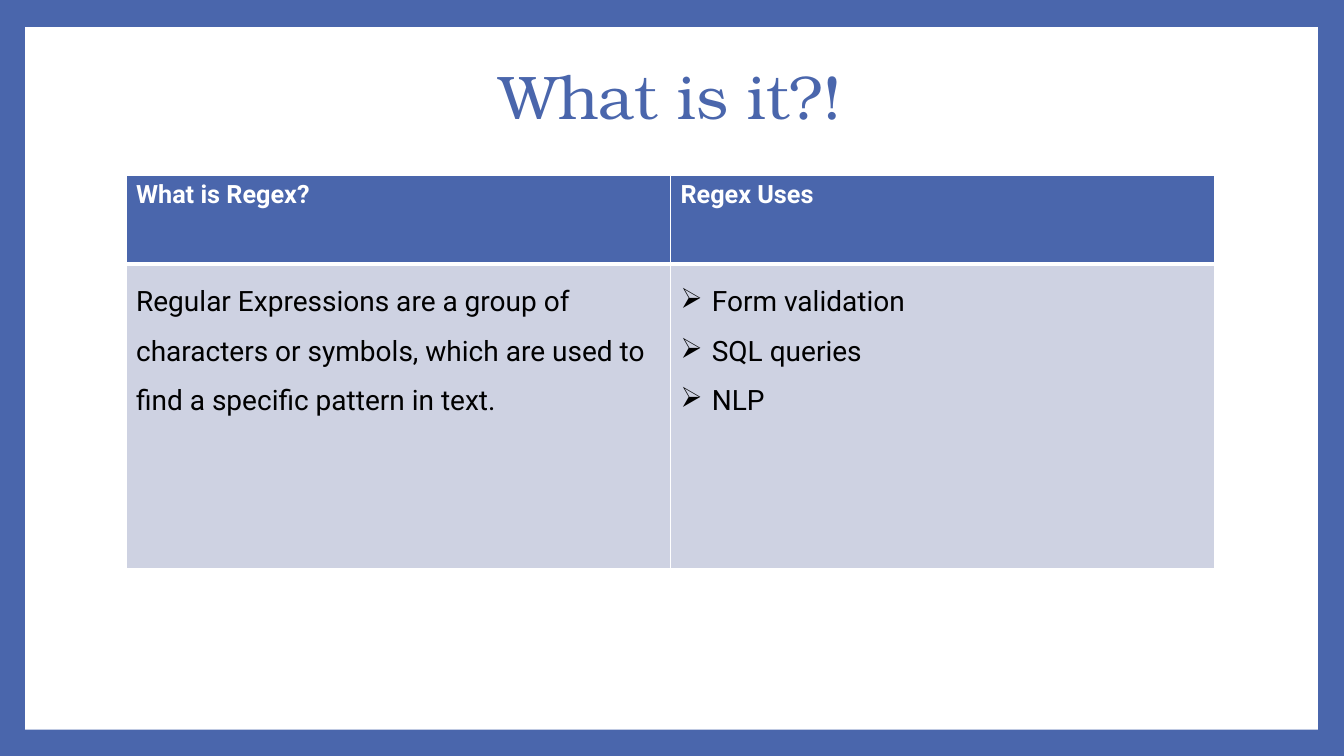
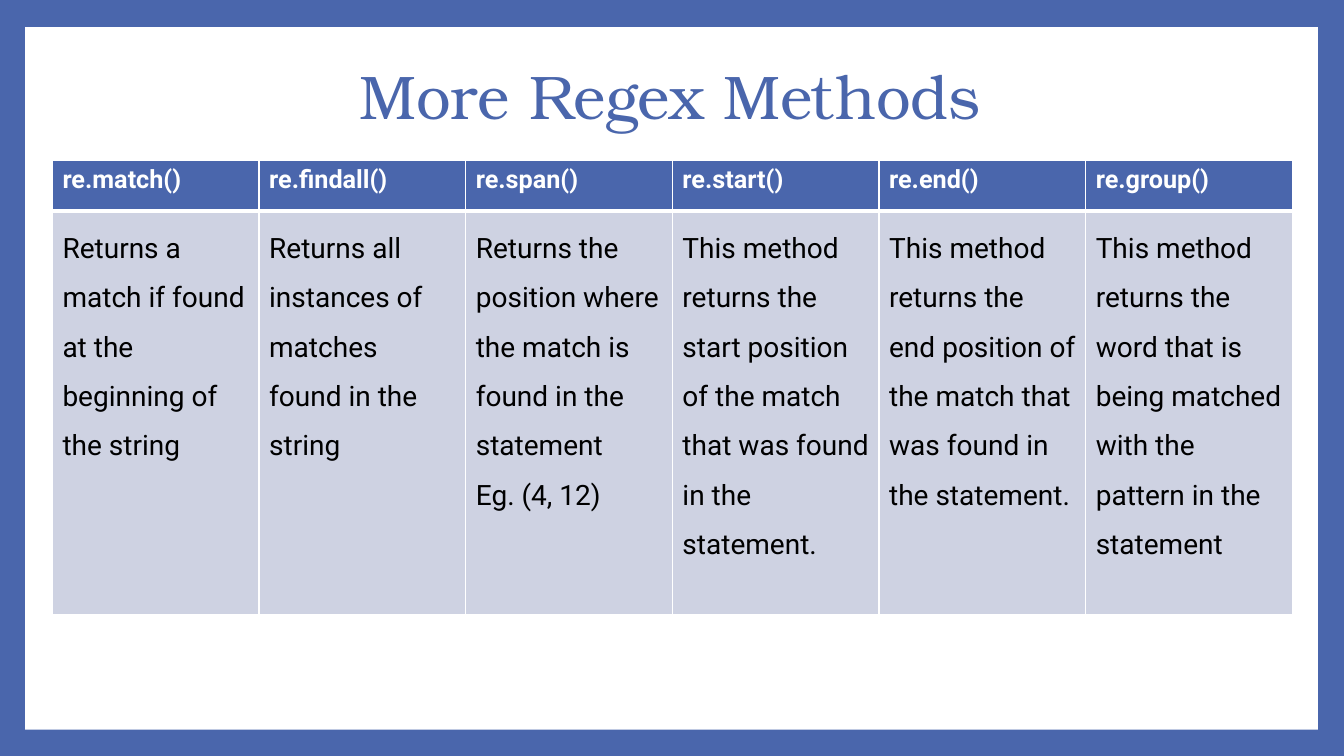
from lxml.etree import SubElement
from pptx import Presentation
from pptx.dml.color import RGBColor
from pptx.enum.shapes import MSO_SHAPE
from pptx.enum.text import MSO_ANCHOR, PP_ALIGN
from pptx.oxml import parse_xml
from pptx.oxml.ns import nsdecls, qn
from pptx.util import Inches, Pt

COLORS = {"blue": "4A66AC", "pale": "CED2E2", "white": "FFFFFF", "black": "000000"}
TITLE = {"name": "TeX Gyre Bonum", "size": Pt(44), "bold": False}
HEADING = {"name": "Roboto", "size": Pt(18), "bold": True}
BODY = {"name": "Roboto", "size": Pt(20), "bold": False}
BULLET_INDENT = Inches(0.31)

SLIDES = [
    {
        "title": "What is it?!",
        "left": 1.25, "top": 1.74, "column": 5.4, "rows": [0.88, 3.02],
        "columns": [
            ("What is Regex?", ["Regular Expressions are a group of characters or symbols, "
                                "which are used to find a specific pattern in text."]),
            ("Regex Uses", ["Form validation", "SQL queries", "NLP"]),
        ],
        "bulleted": ["Regex Uses"],
    },
    {
        "title": "More Regex Methods",
        "left": 0.52, "top": 1.59, "column": 2.05, "rows": [0.5, 4.01],
        "columns": [
            ("re.match()", ["Returns a match if found at the beginning of the string"]),
            ("re.findall()", ["Returns all instances of matches found in the string"]),
            ("re.span()", ["Returns the position where the match is found in the statement",
                           "Eg. (4, 12)"]),
            ("re.start()", ["This method returns the start position of the match "
                            "that was found in the statement."]),
            ("re.end()", ["This method returns the end position of the match "
                          "that was found in the statement."]),
            ("re.group()", ["This method returns the word that is being matched "
                            "with the pattern in the statement"]),
        ],
        "bulleted": [],
    },
]


def write(paragraph, text, style, color, spacing):
    run = paragraph.add_run()
    run.text = text
    for attribute, value in style.items():
        setattr(run.font, attribute, value)
    run.font.color.rgb = RGBColor.from_string(COLORS[color])
    paragraph.line_spacing = spacing


def paint_cell(cell, fill, borders):
    """Fill a cell and draw its white borders, given as {side: points}."""
    cell.fill.solid()
    cell.fill.fore_color.rgb = RGBColor.from_string(COLORS[fill])
    properties = cell._tc.get_or_add_tcPr()
    for position, (side, points) in enumerate(borders.items()):
        properties.insert(position, parse_xml(
            f'<a:ln{side} {nsdecls("a")} w="{Pt(points)}"><a:solidFill>'
            f'<a:srgbClr val="{COLORS["white"]}"/></a:solidFill></a:ln{side}>'))


prs = Presentation()
prs.slide_width, prs.slide_height = Inches(13.33), Inches(7.5)
background = prs.slide_master.background.fill
background.solid()
background.fore_color.rgb = RGBColor.from_string(COLORS["blue"])

for content in SLIDES:
    slide = prs.slides.add_slide(prs.slide_layouts[6])

    page = slide.shapes.add_shape(MSO_SHAPE.RECTANGLE, Inches(0.25), Inches(0.27),
                                  Inches(12.82), Inches(6.97))
    page.shadow.inherit = False
    page.fill.solid()
    page.fill.fore_color.rgb = RGBColor.from_string(COLORS["white"])
    page.line.fill.background()

    title = slide.shapes.add_textbox(Inches(1.25), Inches(0.25),
                                     Inches(10.8), Inches(1.48)).text_frame
    title.word_wrap = True
    title.vertical_anchor = MSO_ANCHOR.MIDDLE
    title.paragraphs[0].alignment = PP_ALIGN.CENTER
    write(title.paragraphs[0], content["title"], TITLE, "blue", 0.9)

    columns = content["columns"]
    table = slide.shapes.add_table(
        2, len(columns), Inches(content["left"]), Inches(content["top"]),
        Inches(content["column"] * len(columns)), Inches(sum(content["rows"]))).table
    for row, height in zip(table.rows, content["rows"]):
        row.height = Inches(height)

    for index, (heading, lines) in enumerate(columns):
        table.columns[index].width = Inches(content["column"])
        heading_cell, body_cell = table.cell(0, index), table.cell(1, index)
        paint_cell(heading_cell, "blue", {"L": 1, "R": 1, "T": 1, "B": 3})
        paint_cell(body_cell, "pale", {"L": 1, "R": 1, "T": 3, "B": 1})
        write(heading_cell.text_frame.paragraphs[0], heading, HEADING, "white", 1.0)

        body = body_cell.text_frame
        for number, line in enumerate(lines):
            paragraph = body.add_paragraph() if number else body.paragraphs[0]
            write(paragraph, line, BODY, "black", 1.5)
            if heading in content["bulleted"]:
                properties = paragraph._p.get_or_add_pPr()
                properties.set("marL", str(BULLET_INDENT))
                properties.set("indent", str(-BULLET_INDENT))
                bullet_color = SubElement(properties, qn("a:buClr"))
                SubElement(bullet_color, qn("a:srgbClr"), val=COLORS["black"])
                # Wingdings shows Ø as the arrowhead ⮚
                SubElement(properties, qn("a:buFont"), typeface="Wingdings",
                           pitchFamily="2", charset="2")
                SubElement(properties, qn("a:buChar"), char="Ø")

prs.save("out.pptx")
